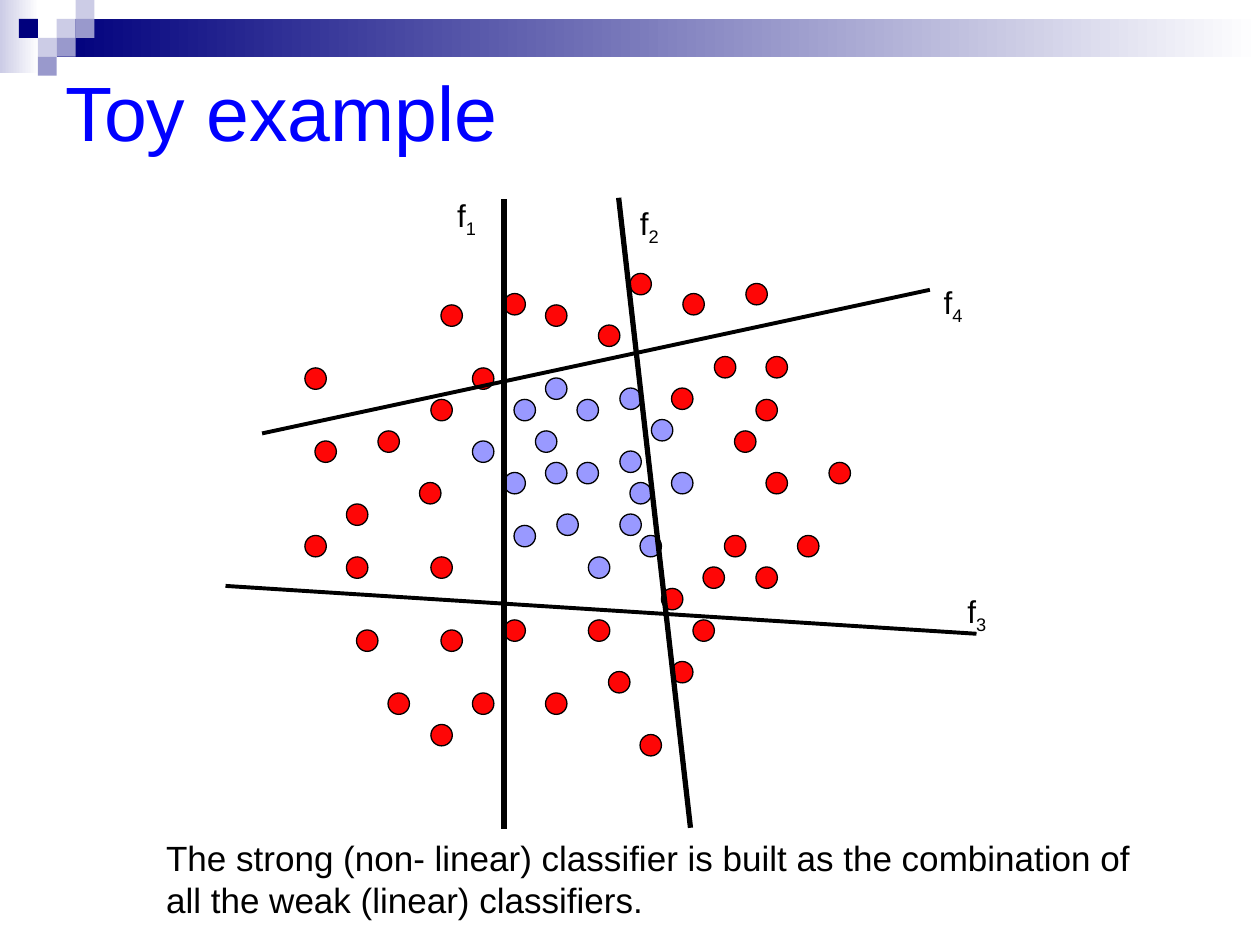
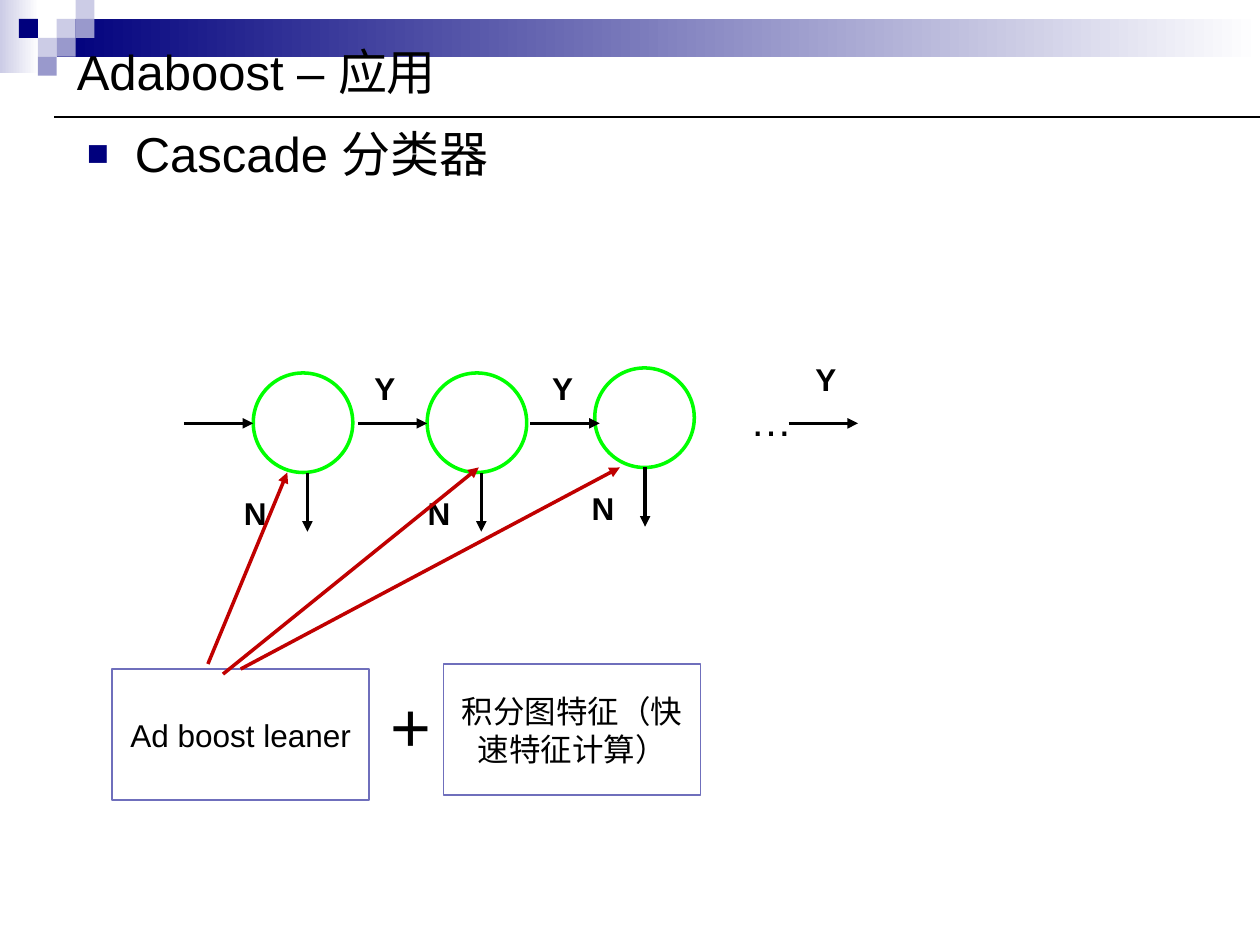
"""Build two slides on boosting: a toy example and a cascade classifier."""
from dataclasses import dataclass

import lxml.etree
import pptx
import pptx.dml.color
import pptx.enum.shapes
import pptx.enum.text
import pptx.oxml.ns
import pptx.util

EMU_PER_PX = 9144
SHAPES = pptx.enum.shapes.MSO_SHAPE
ALIGN = pptx.enum.text.PP_ALIGN
ANCHOR = pptx.enum.text.MSO_ANCHOR
FIT = pptx.enum.text.MSO_AUTO_SIZE
qn = pptx.oxml.ns.qn


@dataclass(frozen=True)
class Theme:
    font: str = "Arial"
    black: str = "000000"
    white: str = "FFFFFF"
    blue: str = "0000FF"
    navy: str = "00007D"
    lavender: str = "9999CC"
    pale: str = "CCCCE6"
    inside: str = "9999FF"
    outside: str = "FE0606"
    stage: str = "00FF00"
    link: str = "C00000"
    frame: str = "6F6FBC"
    title_size: int = 44
    plus_size: int = 40
    heading_size: int = 28
    dots_size: int = 24
    body_size: int = 20
    label_size: int = 18


def px(length):
    return pptx.util.Emu(round(length * EMU_PER_PX))


def rgb(color):
    return pptx.dml.color.RGBColor.from_string(color)


class Deck:
    def __init__(self, theme):
        self.theme = theme
        self.prs = pptx.Presentation()
        self.prs.slide_width, self.prs.slide_height = px(1000), px(750)
        self.slide = None

    def add_slide(self, layout):
        self.slide = self.prs.slides.add_slide(self.prs.slide_layouts[layout])

    def share(self, shapes):
        tree = self.prs.slide_master.shapes.element
        for position, shape in enumerate(shapes, start=2):
            tree.insert(position, shape.element)

    def shape(self, kind, at, fill=None, line=None, width=1):
        shape = self.slide.shapes.add_shape(kind, *map(px, at))
        shape.shadow.inherit = False
        if fill is None:
            shape.fill.background()
        elif isinstance(fill, tuple):
            shape.fill.gradient()
            shape.fill.gradient_angle = 0
            for stop, color in zip(shape.fill.gradient_stops, fill):
                stop.color.rgb = rgb(color)
        else:
            shape.fill.solid()
            shape.fill.fore_color.rgb = rgb(fill)
        if line is None:
            shape.line.fill.background()
        else:
            shape.line.color.rgb = rgb(line)
            shape.line.width = pptx.util.Pt(width)
        return shape

    def line(self, start, end, width, color=None, arrow=False):
        connector = self.slide.shapes.add_connector(
            pptx.enum.shapes.MSO_CONNECTOR.STRAIGHT, *map(px, start + end))
        connector.line.color.rgb = rgb(color or self.theme.black)
        connector.line.width = pptx.util.Pt(width)
        properties = connector.element.spPr
        lxml.etree.SubElement(properties, qn("a:effectLst"))
        if arrow:
            lxml.etree.SubElement(properties.find(qn("a:ln")), qn("a:tailEnd"), type="triangle")
        return connector

    def arrow(self, start, end, color=None):
        return self.line(start, end, 2, color, arrow=True)

    def style_text(self, frame, text, size, color=None, bold=False, align=ALIGN.LEFT):
        paragraph = frame.paragraphs[0]
        paragraph.text = text
        paragraph.alignment = align
        paragraph.space_before = pptx.util.Pt(0)
        paragraph.font.name = self.theme.font
        paragraph.font.size = pptx.util.Pt(size)
        paragraph.font.bold = bold
        paragraph.font.color.rgb = rgb(color or self.theme.black)
        return paragraph

    def text(self, at, text, size, wrap=True, anchor=ANCHOR.TOP, **style):
        frame = self.slide.shapes.add_textbox(*map(px, at)).text_frame
        frame.word_wrap = wrap
        frame.vertical_anchor = anchor
        return self.style_text(frame, text, size, **style)

    def subscripted(self, at, base, index):
        paragraph = self.text(at, base, self.theme.label_size, wrap=False)
        run = paragraph.add_run()
        run.text = index
        run._r.get_or_add_rPr().set("baseline", "-25000")

    def boxed(self, at, text):
        box = self.shape(SHAPES.RECTANGLE, at, line=self.theme.frame)
        box.text_frame.word_wrap = True
        box.text_frame.vertical_anchor = ANCHOR.MIDDLE
        self.style_text(box.text_frame, text, self.theme.label_size, align=ALIGN.CENTER)
        return box

    def place(self, placeholder, at):
        placeholder.left, placeholder.top, placeholder.width, placeholder.height = map(px, at)
        placeholder.text_frame.auto_size = FIT.NONE
        return placeholder.text_frame

    def title(self, at, text, size, color=None):
        frame = self.place(self.slide.shapes.title, at)
        frame.vertical_anchor = ANCHOR.MIDDLE
        self.style_text(frame, text, size, color)

    def bullet(self, at, text, size):
        frame = self.place(self.slide.placeholders[1], at)
        properties = frame.paragraphs[0]._p.get_or_add_pPr()
        properties.set("marL", str(px(38)))
        properties.set("indent", str(px(-38)))
        bullet_color = lxml.etree.SubElement(properties, qn("a:buClr"))
        lxml.etree.SubElement(bullet_color, qn("a:srgbClr"), val=self.theme.navy)
        lxml.etree.SubElement(properties, qn("a:buSzPct"), val="75000")
        lxml.etree.SubElement(properties, qn("a:buFont"), typeface=self.theme.font)
        lxml.etree.SubElement(properties, qn("a:buChar"), char="■")
        self.style_text(frame, text, size)


def add_shared_band(deck):
    theme = deck.theme
    tile = 15
    band = [
        deck.shape(SHAPES.RECTANGLE, (0, 0, 31, 58), (theme.pale, theme.white)),
        deck.shape(SHAPES.RECTANGLE, (45, 15, 955, 30), (theme.navy, theme.white)),
    ]
    tiles = {
        theme.pale: [(3, 1), (4, 0), (2, 2)],
        theme.lavender: [(4, 1), (3, 2), (2, 3)],
        theme.navy: [(1, 1)],
    }
    for color, cells in tiles.items():
        for column, row in cells:
            at = (column * tile, row * tile, tile, tile)
            band.append(deck.shape(SHAPES.RECTANGLE, at, color))
    deck.share(band)


def add_toy_example(deck):
    theme = deck.theme
    deck.title((42, 25, 900, 125), "Toy example", theme.title_size, theme.blue)

    samples = {
        theme.inside: [
            (55, 38), (59, 37), (62, 40), (52, 44), (59, 49), (64, 45), (49, 50), (55, 44),
            (59, 43), (60, 46), (53, 49), (48, 45), (49, 38), (56, 53), (51, 41), (61, 51),
            (45, 42), (52, 36)],
        theme.outside: [
            (73, 45), (72, 38), (69, 51), (72, 54), (79, 44), (76, 51), (30, 42), (29, 35),
            (29, 51), (36, 41), (33, 48), (42, 60), (41, 53), (41, 69), (48, 59), (45, 66),
            (58, 64), (56, 59), (52, 66), (64, 63), (61, 70), (42, 29), (52, 29), (41, 38),
            (48, 28), (45, 35), (65, 28), (57, 31), (64, 37), (71, 27), (68, 34), (34, 60),
            (33, 53), (40, 46), (37, 66), (60, 26), (73, 34), (70, 41), (63, 56), (66, 59),
            (67, 54)],
    }
    steps_per_inch = 12
    for color, cells in samples.items():
        for column, row in cells:
            left, top = (round(100 * step / steps_per_inch) for step in (column, row))
            deck.shape(SHAPES.OVAL, (left, top, 17, 17), color, theme.black, 0.75)

    weak_classifiers = [
        ("1", (400, 158), (400, 658), 3, (353, 151)),
        ("2", (491, 157), (548, 657), 3, (498, 157)),
        ("4", (208, 344), (738, 230), 2.25, (739, 220)),
        ("3", (179, 465), (775, 503), 2.25, (758, 465)),
    ]
    for index, start, end, width, label in weak_classifiers:
        deck.line(start, end, width)
        deck.subscripted(label + (35, 44), "f", index)

    deck.text((122, 659, 790, 77), "The strong (non- linear) classifier is built as the "
              "combination of all the weak (linear) classifiers.", theme.body_size)


def add_cascade(deck):
    theme = deck.theme
    deck.title((51, -6, 900, 125), "Adaboost – 应用", theme.heading_size)
    deck.bullet((59, 93, 884, 97), "Cascade 分类器", theme.heading_size)
    deck.line((43, 93), (1000, 93), 1.5)

    diameter, answer_size = 79, (51, 40)
    answer_style = {"bold": True, "align": ALIGN.CENTER}
    stages = [(201, 296, 244, 177), (339, 296, 382, 323), (472, 292, 512, 453)]
    for left, top, reject, no_left in stages:
        bottom = top + diameter
        deck.shape(SHAPES.OVAL, (left, top, diameter, diameter), line=theme.stage, width=2)
        deck.arrow((reject, bottom), (reject, bottom + 47))
        deck.text((no_left, top + 91) + answer_size, "N", theme.label_size, **answer_style)

    for start in (146, 284, 421, 626):
        deck.arrow((start, 336), (start + 55, 336))
    for yes in ((280, 288), (421, 288), (630, 281)):
        deck.text(yes + answer_size, "Y", theme.label_size, **answer_style)
    deck.text((567, 308, 90, 50), "…", theme.dots_size, align=ALIGN.CENTER)

    learner = deck.boxed((89, 531, 204, 104), "Ad boost leaner")
    deck.boxed((352, 527, 204, 104), "积分图特征（快速特征计算）")
    deck.text((288, 543, 76, 64), "+", theme.plus_size, anchor=ANCHOR.MIDDLE, align=ALIGN.CENTER)

    deck.arrow((165, 527), (228, 375), theme.link)
    deck.arrow((177, 535), (380, 371), theme.link)
    deck.arrow((191, 531), (492, 371), theme.link).begin_connect(learner, 0)


def main():
    deck = Deck(Theme())
    deck.add_slide(5)
    add_shared_band(deck)
    add_toy_example(deck)
    deck.add_slide(1)
    add_cascade(deck)
    deck.prs.save("out.pptx")


if __name__ == "__main__":
    main()
